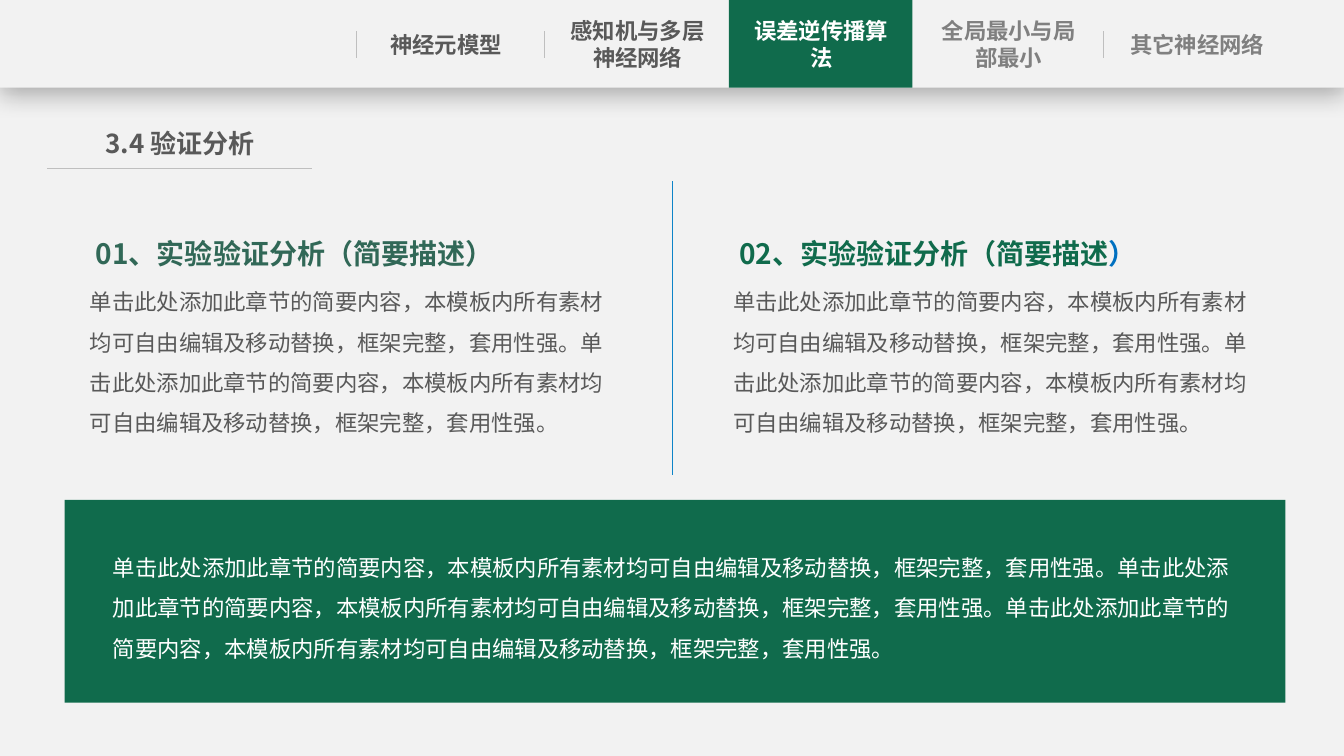
from lxml import etree
from pptx import Presentation
from pptx.dml.color import RGBColor
from pptx.enum.shapes import MSO_CONNECTOR, MSO_SHAPE
from pptx.enum.text import MSO_ANCHOR, MSO_AUTO_SIZE, PP_ALIGN
from pptx.oxml import parse_xml
from pptx.oxml.ns import nsdecls, qn
from pptx.util import Inches, Pt

RECTANGLE = MSO_SHAPE.RECTANGLE
STRAIGHT = MSO_CONNECTOR.STRAIGHT
TOP, MIDDLE = MSO_ANCHOR.TOP, MSO_ANCHOR.MIDDLE
LEFT, CENTER = PP_ALIGN.LEFT, PP_ALIGN.CENTER
FONT = "Noto Sans CJK SC"
COLORS = {
    "page": "F2F2F2", "green": "106B4C", "muted_green": "316857", "blue": "0070C0",
    "divider": "0D84C8", "rule": "BFBFBF", "text": "595959", "faded": "808080", "white": "FFFFFF",
}
DESCRIPTION = "单击此处添加此章节的简要内容，本模板内所有素材均可自由编辑及移动替换，框架完整，套用性强。"


def color(name):
    return RGBColor.from_string(COLORS[name])


def write(shape, pieces, size, bold=False, align=LEFT, anchor=TOP, spacing=1.0, side=0.1):
    frame = shape.text_frame
    frame.word_wrap = True
    frame.auto_size = MSO_AUTO_SIZE.NONE
    frame.vertical_anchor = anchor
    frame.margin_left = frame.margin_right = Inches(side)
    frame.margin_top = frame.margin_bottom = Inches(0.05)
    paragraph = frame.paragraphs[0]
    paragraph.alignment = align
    paragraph.line_spacing = spacing
    paragraph.space_before = Pt(0)
    properties = paragraph._p.get_or_add_pPr()
    properties.set("marL", "0")
    properties.set("indent", "0")
    etree.SubElement(properties, qn("a:buNone"))
    for text, color_name in pieces:
        run = paragraph.add_run()
        run.text = text
        run.font.size = Pt(size)
        run.font.bold = bold
        run.font.color.rgb = color(color_name)
        run.font.name = FONT
        etree.SubElement(run._r.get_or_add_rPr(), qn("a:ea"), typeface=FONT)


prs = Presentation()
prs.slide_width, prs.slide_height = Inches(13.33), Inches(7.5)
slide = prs.slides.add_slide(prs.slide_layouts[4])
slide.background.fill.solid()
slide.background.fill.fore_color.rgb = color("page")
shapes = slide.shapes

blocks = []
for left, top, width, height, fill in [
    (0, 0, 13.33, 0.87, "page"),
    (7.23, 0, 1.82, 0.87, "green"),
    (0.64, 4.96, 12.11, 2.01, "green"),
]:
    block = shapes.add_shape(RECTANGLE, Inches(left), Inches(top), Inches(width), Inches(height))
    block.shadow.inherit = False
    block.fill.solid()
    block.fill.fore_color.rgb = color(fill)
    block.line.fill.background()
    blocks.append(block)
header, active_tab, summary = blocks

header_effects = header._element.spPr.find(qn("a:effectLst"))
header_effects.append(parse_xml(
    f'<a:outerShdw {nsdecls("a")} blurRad="{Pt(18)}" dist="{Pt(4)}" dir="5400000" '
    'algn="t" rotWithShape="0"><a:srgbClr val="000000"><a:alpha val="29000"/>'
    '</a:srgbClr></a:outerShdw>'
))
write(summary, [(DESCRIPTION * 3, "white")], 16, anchor=MIDDLE, spacing=1.5, side=0.48)

for x1, y1, x2, y2, line_color in [
    (3.53, 0.31, 3.53, 0.58, "rule"),
    (5.4, 0.31, 5.4, 0.58, "rule"),
    (10.94, 0.31, 10.94, 0.58, "rule"),
    (0.47, 1.67, 3.09, 1.67, "rule"),
    (6.67, 1.8, 6.67, 4.71, "divider"),
]:
    rule = shapes.add_connector(STRAIGHT, Inches(x1), Inches(y1), Inches(x2), Inches(y2))
    rule.line.color.rgb = color(line_color)
    rule.line.width = Pt(0.5)
    etree.SubElement(rule._element.spPr, qn("a:effectLst"))

for left, label, label_color in [
    (3.69, "神经元模型", "text"),
    (5.59, "感知机与多层神经网络", "text"),
    (7.41, "误差逆传播算法", "white"),
    (9.27, "全局最小与局部最小", "faded"),
    (11.14, "其它神经网络", "faded"),
]:
    tab = shapes.add_textbox(Inches(left), Inches(0.12), Inches(1.47), Inches(0.64))
    write(tab, [(label, label_color)], 16, bold=True, align=CENTER, anchor=MIDDLE, side=0)

title = shapes.title
title.left, title.top, title.width, title.height = Inches(0.75), Inches(1.21), Inches(2.07), Inches(0.42)
write(title, [("3.4 验证分析", "text")], 18.6, bold=True, align=CENTER, side=0)

for left, heading_id, heading_pieces in [
    (0.79, 1, [("01、实验验证分析（简要描述）", "muted_green")]),
    (7.17, 3, [("02、实验验证分析（简要描述", "green"), ("）", "blue")]),
]:
    heading = slide.placeholders[heading_id]
    heading.left, heading.top = Inches(left + 0.06), Inches(2.13)
    heading.width, heading.height = Inches(5.02), Inches(0.61)
    write(heading, heading_pieces, 20, bold=True, spacing=1.5)
    details = slide.placeholders[heading_id + 1]
    details.left, details.top = Inches(left), Inches(2.68)
    details.width, details.height = Inches(5.37), Inches(1.72)
    write(details, [(DESCRIPTION * 2, "text")], 16, spacing=1.5)

prs.save("out.pptx")
